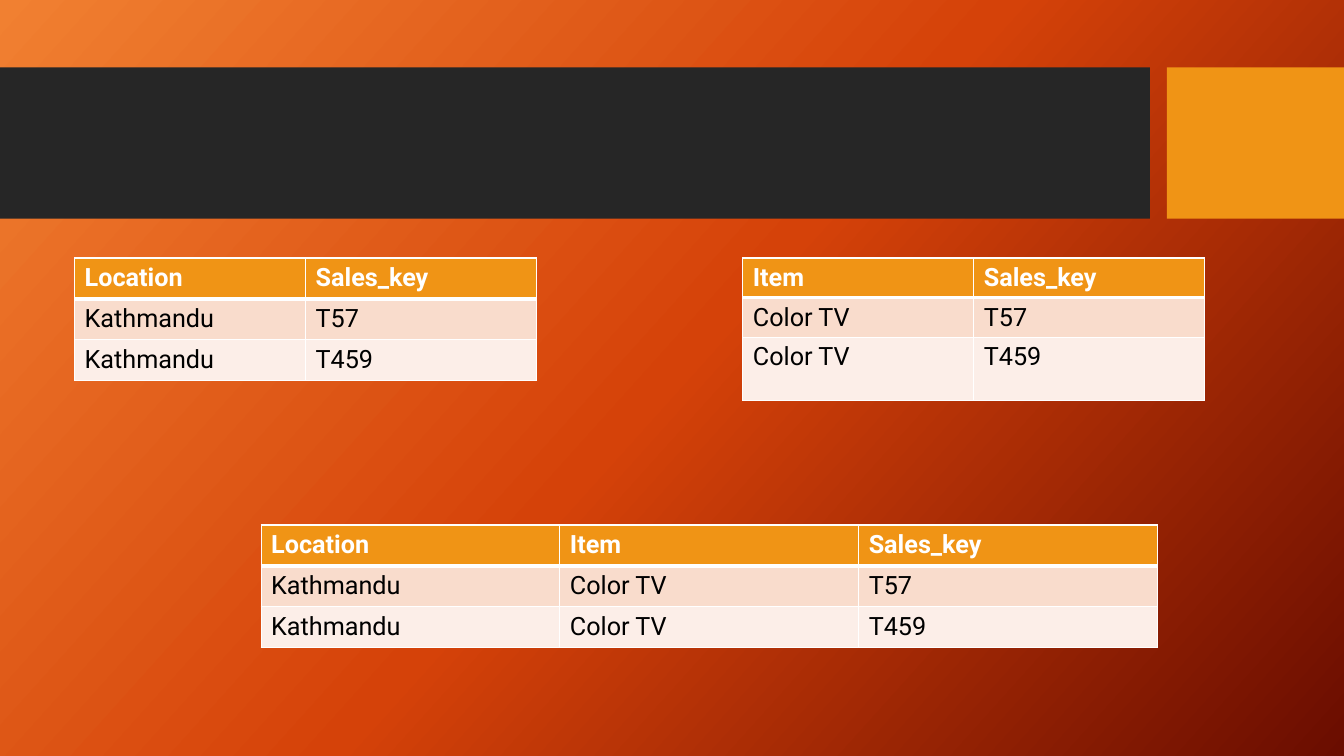
import copy
import dataclasses

import lxml.etree
import pptx
import pptx.dml.color
import pptx.enum.shapes
import pptx.oxml.ns
import pptx.shapes.autoshape
import pptx.slide
import pptx.table
import pptx.util

Cm = pptx.util.Cm
Pt = pptx.util.Pt
RGBColor = pptx.dml.color.RGBColor
qn = pptx.oxml.ns.qn

WHITE = RGBColor(0xFF, 0xFF, 0xFF)
BLACK = RGBColor(0x00, 0x00, 0x00)
DARK = RGBColor(0x26, 0x26, 0x26)
AMBER = RGBColor(0xF0, 0x94, 0x15)
PEACH = RGBColor(0xF9, 0xDC, 0xCC)
CREAM = RGBColor(0xFC, 0xEE, 0xE8)
FADE = (
    (0, RGBColor(0xF1, 0x80, 0x31)),
    (0.5, RGBColor(0xD5, 0x42, 0x09)),
    (1, RGBColor(0x6A, 0x0D, 0x00)),
)
ROW_FILLS = (AMBER, PEACH, CREAM)
FONT = {"name": "Roboto", "size": Pt(18)}
THIN, THICK = Pt(1), Pt(3)


@dataclasses.dataclass(frozen=True)
class Bar:
    left: float
    width: float
    color: RGBColor


@dataclasses.dataclass(frozen=True)
class Grid:
    left: float
    top: float
    col: float
    rows: tuple[float, ...]
    cells: tuple[tuple[str, ...], ...]


BARS = (Bar(0, 28.98, DARK), Bar(29.41, 4.46, AMBER))
EVEN = (1.03, 1.03, 1.03)
GRIDS = (
    Grid(1.88, 6.5, 5.82, EVEN, (
        ("Location", "Sales_key"),
        ("Kathmandu", "T57"),
        ("Kathmandu", "T459"),
    )),
    Grid(18.72, 6.5, 5.82, (0.92, 0.92, 1.6), (
        ("Item", "Sales_key"),
        ("Color TV", "T57"),
        ("Color TV", "T459"),
    )),
    Grid(6.58, 13.23, 7.53, EVEN, (
        ("Location", "Item", "Sales_key"),
        ("Kathmandu", "Color TV", "T57"),
        ("Kathmandu", "Color TV", "T459"),
    )),
)


def paint_back(slide: pptx.slide.Slide) -> None:
    fill = slide.background.fill
    fill.gradient()
    stops = slide.element.find(".//" + qn("a:gsLst"))
    stops.append(copy.deepcopy(stops[-1]))
    for stop, (place, color) in zip(fill.gradient_stops, FADE):
        stop.position = place
        stop.color.rgb = color
    fill.gradient_angle = 360 - 42  # python-pptx counts anticlockwise


def draw_bar(slide: pptx.slide.Slide, bar: Bar) -> pptx.shapes.autoshape.Shape:
    shape = slide.shapes.add_shape(
        pptx.enum.shapes.MSO_SHAPE.RECTANGLE,
        Cm(bar.left), Cm(1.7), Cm(bar.width), Cm(3.81),
    )
    shape.shadow.inherit = False
    shape.fill.solid()
    shape.fill.fore_color.rgb = bar.color
    shape.line.fill.background()
    return shape


def edge_cell(cell: pptx.table._Cell, row: int) -> None:
    """Rule a cell in white, with a thick line under the header."""
    props = cell._tc.get_or_add_tcPr()
    widths = {
        "L": THIN,
        "R": THIN,
        "T": THICK if row == 1 else THIN,
        "B": THICK if row == 0 else THIN,
    }
    for side, width in widths.items():
        line = lxml.etree.SubElement(props, qn(f"a:ln{side}"), w=str(width))
        fill = lxml.etree.SubElement(line, qn("a:solidFill"))
        lxml.etree.SubElement(fill, qn("a:srgbClr"), val=str(WHITE))


def fill_cell(cell: pptx.table._Cell, text: str, row: int) -> None:
    edge_cell(cell, row)
    cell.fill.solid()
    cell.fill.fore_color.rgb = ROW_FILLS[row]
    run = cell.text_frame.paragraphs[0].add_run()
    run.text = text
    for name, value in {**FONT, "bold": row == 0}.items():
        setattr(run.font, name, value)
    run.font.color.rgb = BLACK if row else WHITE


def draw_grid(slide: pptx.slide.Slide, grid: Grid) -> pptx.table.Table:
    count = len(grid.cells[0])
    table = slide.shapes.add_table(
        len(grid.rows), count, Cm(grid.left), Cm(grid.top),
        Cm(grid.col * count), Cm(sum(grid.rows)),
    ).table
    for col in table.columns:
        col.width = Cm(grid.col)
    for row, (height, texts) in enumerate(zip(grid.rows, grid.cells)):
        table.rows[row].height = Cm(height)
        for col, text in enumerate(texts):
            fill_cell(table.cell(row, col), text, row)
    return table


def main() -> None:
    deck = pptx.Presentation()
    deck.slide_width, deck.slide_height = Cm(33.87), Cm(19.05)
    slide = deck.slides.add_slide(deck.slide_layouts[6])
    paint_back(slide)
    for bar in BARS:
        draw_bar(slide, bar)
    for grid in GRIDS:
        draw_grid(slide, grid)
    deck.save("out.pptx")


if __name__ == "__main__":
    main()
